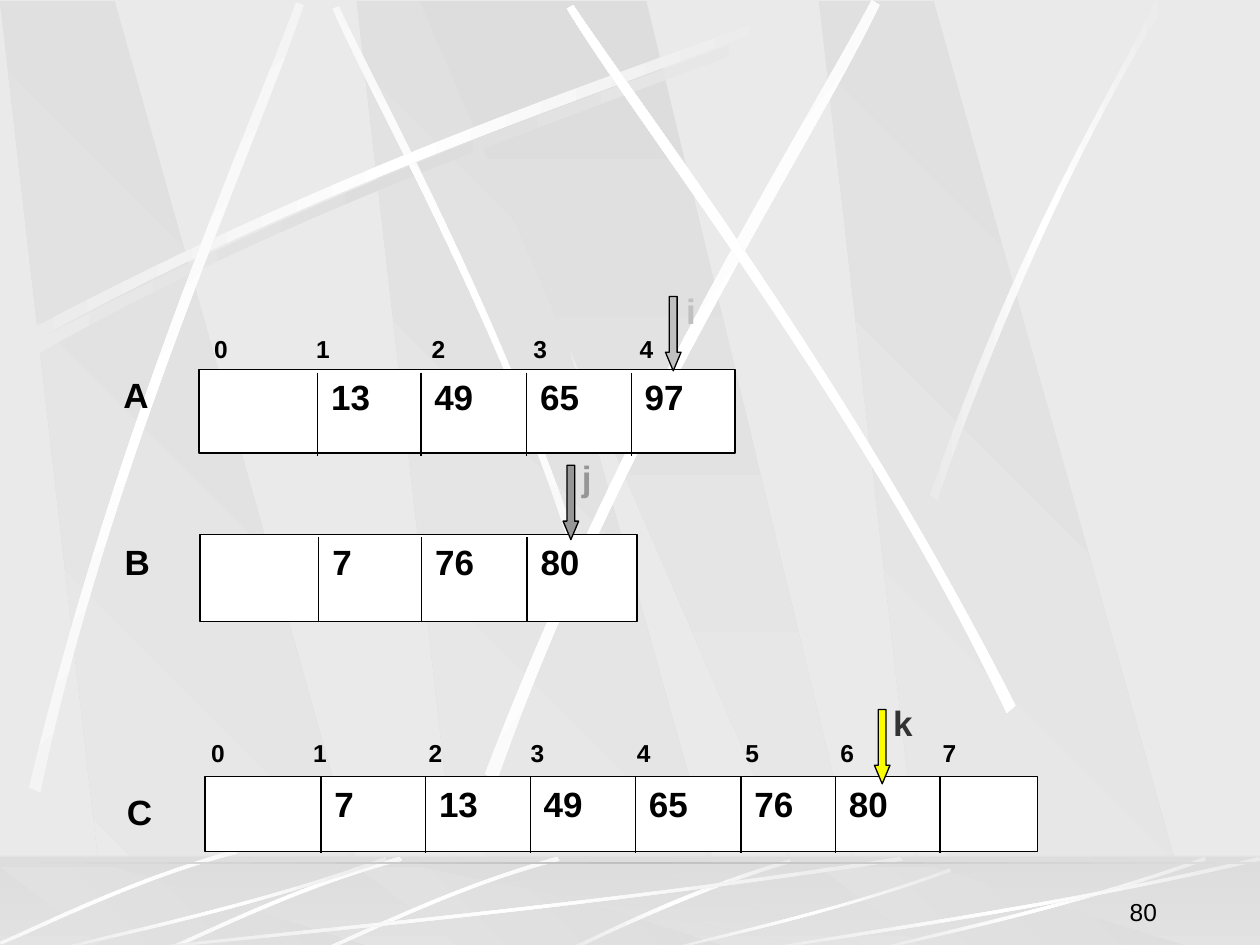
from copy import deepcopy

from lxml import etree
from pptx import Presentation
from pptx.dml.color import RGBColor
from pptx.enum.shapes import MSO_CONNECTOR, MSO_SHAPE
from pptx.enum.text import MSO_ANCHOR, PP_ALIGN
from pptx.oxml.ns import qn
from pptx.util import Pt

RECTANGLE = MSO_SHAPE.RECTANGLE
DOWN_ARROW = MSO_SHAPE.DOWN_ARROW
STRAIGHT = MSO_CONNECTOR.STRAIGHT
TOP, BOTTOM = MSO_ANCHOR.TOP, MSO_ANCHOR.BOTTOM
LEFT, RIGHT = PP_ALIGN.LEFT, PP_ALIGN.RIGHT

THEME = {
    "font": "Arial",
    "value_size": 20, "small_size": 14,
    "ink": "000000", "cell": "FFFFFF",
    "pale": "EAEAEA", "shade": "DDDDDD", "edge": "C0C0C0", "glow": "FFFFFF",
    "i": "C0C0C0", "j": "969696", "k": "333333", "k_arrow": "FAFD00",
}
COLOR = {name: RGBColor.from_string(value) for name, value in THEME.items()
         if isinstance(value, str) and len(value) == 6}
FADE = ("shade", "pale")
STREAK = ("pale", "glow", "pale")
SHADOW = ("pale", "shade", "pale")
EDGE = ("shade", "edge", "shade")

deck = Presentation()
deck.slide_width, deck.slide_height = Pt(720), Pt(540)
page = deck.slides.add_slide(deck.slide_layouts[6])
shapes = page.shapes
page.background.fill.solid()
page.background.fill.fore_color.rgb = COLOR["pale"]


def paint_gradient(shape, names, clockwise):
    """Spread the named colours evenly along a clockwise angle, without outline."""
    shape.shadow.inherit = False
    shape.line.fill.background()
    shape.fill.gradient()
    shape.fill.gradient_angle = (360 - clockwise) % 360
    if len(names) == 3:
        first = shape._element.spPr.find(".//" + qn("a:gs"))
        first.addnext(deepcopy(first))
    for number, (stop, name) in enumerate(zip(shape.fill.gradient_stops, names)):
        stop.color.rgb = COLOR[name]
        stop.position = number / (len(names) - 1)


def add_label(text, left, top, width, height, size="value_size", color="ink",
              bold=True, align=LEFT, anchor=TOP, tabs=()):
    box = shapes.add_textbox(Pt(left), Pt(top), Pt(width), Pt(height))
    box.text_frame.word_wrap = True
    box.text_frame.vertical_anchor = anchor
    para = box.text_frame.paragraphs[0]
    para.alignment = align
    if tabs:
        tab_list = etree.SubElement(para._p.get_or_add_pPr(), qn("a:tabLst"))
        for position in tabs:
            etree.SubElement(tab_list, qn("a:tab"), pos=str(Pt(position)), algn="l")
    span = para.add_run()
    span.text = text
    for name, value in {"name": THEME["font"], "size": Pt(THEME[size]), "bold": bold}.items():
        setattr(span.font, name, value)
    span.font.color.rgb = COLOR[color]


# Slanted bands: left, gradient angle, two top and two bottom corners
TALL = (0, 65.5, 217.4, 61.9)
WIDE = (0, 129.6, 259.9, 234)
BANDS = [(203.8, 135, TALL), (0, 135, TALL), (468, 135, TALL), (239.8, 90, WIDE)]

# Curved streaks: start, two handles, end, then the way back
BEAM = [(10.1, 192.2), (200.2, 90), (373, 36.7), (446.4, 7.2),
        (448.6, 11.5), (375.8, 43.9), (178.6, 103), (12.2, 199.4)]
STEEP = [(331.2, 313.9), (281.5, 168.5), (217.4, 55.4), (193.7, 3.6),
         (190.1, 5), (212.4, 56.9), (286.6, 185.8), (326.9, 316.1)]
LEFT_RAY = [(16.6, 450), (67, 240.5), (141.8, 75.6), (169.2, 1.4),
            (173.5, 2.9), (149, 77.8), (61.9, 265), (23, 452.9)]
MIDDLE_RAY = [(277.2, 442.1), (358.6, 230.4), (459.4, 73.4), (498.2, 0),
              (502.6, 2.9), (467.3, 77.8), (349.9, 255.6), (283.7, 447.1)]
FALLING_RAY = [(580.3, 403.2), (482.4, 211), (371.5, 68.4), (327.6, 2.9),
               (324, 5), (365, 72.7), (493.2, 234), (575.3, 407.5)]
RIGHT_RAY = [(531.4, 283), (586.1, 124.6), (639.4, 47.5), (660.2, 0),
             (667.4, 0), (601.9, 104.4), (553.7, 231.8), (535.7, 285.8)]
FLOOR_BEND = [(451.4, 491), (386.6, 510.5), (343.4, 534.2), (322.6, 542.9),
              (326.2, 543.6), (352.8, 530.6), (411.1, 504), (452.2, 493.2)]
FLOOR_RAY = [(318.2, 489.6), (255.6, 507.6), (206.6, 532.8), (184.3, 542.2),
             (185, 543.6), (207.4, 535), (262.8, 506.2), (319.7, 491.8)]
SWEEP = [(444.2, 2.2), (251.3, 31), (76.3, 46.1), (2.2, 54),
         (0, 53.3), (73.4, 43.9), (273.6, 27.4), (442.1, 0)]

# Each placement: curve, colours, gradient angle, shift x and y, scale x and y
WALL_STREAKS = [
    (BEAM, SHADOW, 180, 4.3, 5.8, 1, 1), (STEEP, STREAK, 135, 0, 0, 1, 1),
    (BEAM, STREAK, 180, 0, 0, 1, 1), (LEFT_RAY, STREAK, 228.3, 0, 0, 1, 1),
    (MIDDLE_RAY, STREAK, 218.4, 0, 0, 1, 1), (FALLING_RAY, STREAK, 145.2, 0, 0, 1, 1),
    (RIGHT_RAY, STREAK, 180, 0, 0, 1, 1),
]
FLOOR_STREAKS = [
    (FLOOR_BEND, STREAK, 180, 0, 0, 1, 1), (FLOOR_RAY, STREAK, 225.1, 0, 0, 1, 1),
    (FLOOR_RAY, STREAK, 225.1, -90, 0, 1, 1), (FLOOR_RAY, STREAK, 225.1, -184.3, -4, 1, 1),
    (SWEEP, STREAK, 180, 72, 489.6, 1, 1), (SWEEP, STREAK, 180, 30.2, 489.6, 0.43, 1),
    (SWEEP, STREAK, 180, 379.4, 496.1, 0.37, 0.88),
    (SWEEP, STREAK, 180, 498.2, 489.6, 0.43, 1), (SWEEP, STREAK, 180, 432, 489.6, 0.65, 1),
]

# Backdrop: the wall first, then the floor
for part, band_top, band_height, streaks in [
    ("wall", 0.7, 541, WALL_STREAKS), ("floor", 495.4, 47.5, FLOOR_STREAKS),
]:
    if part == "floor":
        floor = shapes.add_shape(RECTANGLE, 0, Pt(489.6), Pt(720), Pt(54))
        paint_gradient(floor, FADE, 90)

    for left, angle, corners in BANDS:
        levels = (band_top, band_top, band_top + band_height, band_top + band_height)
        outline = [(Pt(left + x), Pt(y)) for x, y in zip(corners, levels)]
        builder = shapes.build_freeform(*outline[0], scale=1.0)
        builder.add_line_segments(outline[1:], close=True)
        paint_gradient(builder.convert_to_shape(), FADE, angle)

    if part == "floor":
        veil = shapes.add_shape(RECTANGLE, 0, Pt(488.9), Pt(720), Pt(54))
        veil.shadow.inherit = False
        veil.line.fill.background()
        veil.fill.solid()
        veil.fill.fore_color.rgb = COLOR["shade"]
        veil_color = veil._element.spPr.find(".//" + qn("a:srgbClr"))
        etree.SubElement(veil_color, qn("a:alpha"), val="50000")

    for curve, colors, angle, shift_x, shift_y, scale_x, scale_y in streaks:
        outline = [(Pt(shift_x + scale_x * x), Pt(shift_y + scale_y * y)) for x, y in curve]
        builder = shapes.build_freeform(*outline[0], scale=1.0)
        builder.add_line_segments(outline[1:], close=True)
        streak = builder.convert_to_shape()
        # Turn each long side from three straight steps into one cubic curve
        steps = streak._element.spPr.findall(".//" + qn("a:lnTo"))
        for side in (steps[:3], steps[4:7]):
            bend = etree.Element(qn("a:cubicBezTo"))
            side[0].addprevious(bend)
            for step in side:
                bend.append(step[0])
                step.getparent().remove(step)
        paint_gradient(streak, colors, angle)

floor_edge = shapes.add_shape(RECTANGLE, 0, Pt(492.5), Pt(720), Pt(1.4))
paint_gradient(floor_edge, EDGE, 180)

# Arrays: name and its place, frame, divider top and height, dividers, values
ARRAYS = [
    ("A", 63.4, 209.8, (113.8, 211.2, 306.2, 47.6), 213, 47.5,
     (181.6, 240.5, 301, 360.7), ("13", "49", "65", "97")),
    ("B", 64.1, 305.3, (114.3, 305.3, 249.8, 49.7), 307, 47.7,
     (182.2, 241, 301.2), ("7", "76", "80")),
    ("C", 65.5, 448, (117.2, 443.7, 475.7, 43), 443.7, 43.7,
     (183.4, 243.2, 303, 363.2, 423.4, 477.4, 537.2),
     ("7", "13", "49", "65", "76", "80")),
]
for name, name_left, name_top, frame, line_top, line_height, dividers, values in ARRAYS:
    box = shapes.add_shape(RECTANGLE, *(Pt(length) for length in frame))
    box.shadow.inherit = False
    box.fill.solid()
    box.fill.fore_color.rgb = COLOR["cell"]
    box.line.color.rgb = COLOR["ink"]
    box.line.width = Pt(0.75)
    for x in dividers:
        divider = shapes.add_connector(STRAIGHT, Pt(x), Pt(line_top),
                                       Pt(x), Pt(line_top + line_height))
        divider.line.color.rgb = COLOR["ink"]
        divider.line.width = Pt(0.75)
        etree.SubElement(divider._element.spPr, qn("a:effectLst"))
    for x, value in zip(dividers, values):
        add_label(value, x + 0.6, frame[1], 48.2, 31.5)
    add_label(name, name_left, name_top, 48.2, 31.5)

# Index rows above arrays A and C
INDEX_TABS = (58.3, 124.3, 182.5, 243.2, 305.3, 359.6, 417.9)
for count, left, top, width in [(5, 115.2, 187.2, 306), (8, 113.6, 418.3, 479.5)]:
    add_label("\t".join(str(n) for n in range(count)), left, top, width, 24.5,
              size="small_size", tabs=INDEX_TABS[:count - 1])

# Pointers: name, arrow colour, arrow place, label place
for name, fill, left, top, label_left, label_top in [
    ("i", "i", 380.3, 169.4, 385, 161.6), ("j", "j", 321.8, 265.9, 325.4, 257.2),
    ("k", "k_arrow", 499.7, 405.4, 503.3, 397.4),
]:
    arrow = shapes.add_shape(DOWN_ARROW, Pt(left), Pt(top), Pt(8.9), Pt(42.5))
    arrow.adjustments[0], arrow.adjustments[1] = 0.5, 1.19
    arrow.shadow.inherit = False
    arrow.fill.solid()
    arrow.fill.fore_color.rgb = COLOR[fill]
    arrow.line.color.rgb = COLOR["ink"]
    arrow.line.width = Pt(0.75)
    add_label(name, label_left, label_top, 38.2, 31.5, color=name)

# Page number
add_label("80", 518.4, 496.8, 149.8, 36, size="small_size", bold=False,
          align=RIGHT, anchor=BOTTOM)

deck.save("out.pptx")
